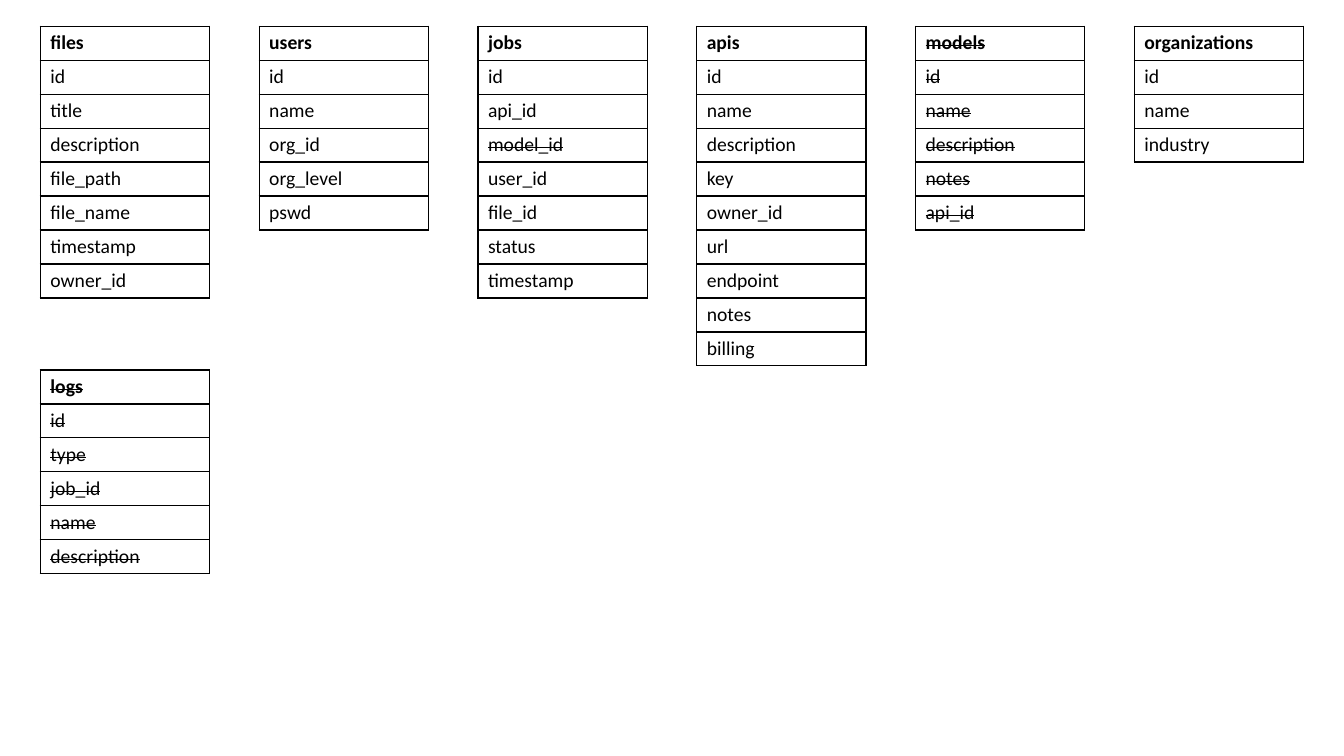
"""Draw a database schema as one single-column table per entity."""
from dataclasses import dataclass

from lxml import etree
from pptx import Presentation
from pptx import util as u
from pptx.dml.color import RGBColor
from pptx.oxml import ns
from pptx.slide import Slide
from pptx.table import _Cell


@dataclass(frozen=True)
class Theme:
    font: str = "Calibri"
    size: float = 14
    ink: str = "000000"
    border: float = 1


@dataclass(frozen=True)
class Grid:
    left: float = 0.4
    top: float = 0.26
    column_step: float = 2.17
    band_step: float = 3.41
    table_width: float = 1.68
    row_minimum: float = 0.25
    row_drawn: float = 1 / 3


@dataclass(frozen=True)
class Entity:
    name: str
    fields: str
    column: int
    band: int = 0
    retired: bool = False
    retired_fields: tuple[str, ...] = ()


THEME = Theme()
GRID = Grid()
ENTITIES = (
    Entity("files", "id title description file_path file_name timestamp owner_id", 0),
    Entity("users", "id name org_id org_level pswd", 1),
    Entity("jobs", "id api_id model_id user_id file_id status timestamp", 2,
           retired_fields=("model_id",)),
    Entity("apis", "id name description key owner_id url endpoint notes billing", 3),
    Entity("models", "id name description notes api_id", 4, retired=True),
    Entity("organizations", "id name industry", 5),
    Entity("logs", "id type job_id name description", 0, band=1, retired=True),
)


def outline_cell(cell: _Cell) -> None:
    """Give the cell a solid line on all four sides and no fill."""
    properties = cell._tc.get_or_add_tcPr()
    for side in ("a:lnL", "a:lnR", "a:lnT", "a:lnB"):
        line = etree.SubElement(properties, ns.qn(side), w=str(u.Pt(THEME.border)))
        fill = etree.SubElement(line, ns.qn("a:solidFill"))
        etree.SubElement(fill, ns.qn("a:srgbClr"), val=THEME.ink)
    cell.fill.background()


def write_cell(cell: _Cell, label: str, bold: bool, struck: bool) -> None:
    """Write one label, struck through when it is retired."""
    run = cell.text_frame.paragraphs[0].add_run()
    run.text = label
    run.font.name = THEME.font
    run.font.size = u.Pt(THEME.size)
    run.font.bold = bold
    run.font.color.rgb = RGBColor.from_string(THEME.ink)
    if struck:
        run._r.get_or_add_rPr().set("strike", "sngStrike")


def draw_entity(slide: Slide, entity: Entity) -> None:
    """Place an entity's table on the grid and fill its rows."""
    labels = [entity.name, *entity.fields.split()]
    height = u.Inches(GRID.row_drawn * len(labels))
    shape = slide.shapes.add_table(
        len(labels), 1,
        u.Inches(GRID.left + entity.column * GRID.column_step),
        u.Inches(GRID.top + entity.band * GRID.band_step),
        u.Inches(GRID.table_width), height)
    table = shape.table
    table.first_row = table.horz_banding = False
    for index, label in enumerate(labels):
        table.rows[index].height = u.Inches(GRID.row_minimum)
        cell = table.cell(index, 0)
        outline_cell(cell)
        struck = entity.retired or label in entity.retired_fields
        write_cell(cell, label, bold=index == 0, struck=struck)
    shape.height = height


def main() -> None:
    """Build and save the slide."""
    presentation = Presentation()
    presentation.slide_width = u.Inches(13.33)
    presentation.slide_height = u.Inches(7.5)
    slide = presentation.slides.add_slide(presentation.slide_layouts[6])
    for entity in ENTITIES:
        draw_entity(slide, entity)
    presentation.save("out.pptx")


if __name__ == "__main__":
    main()
